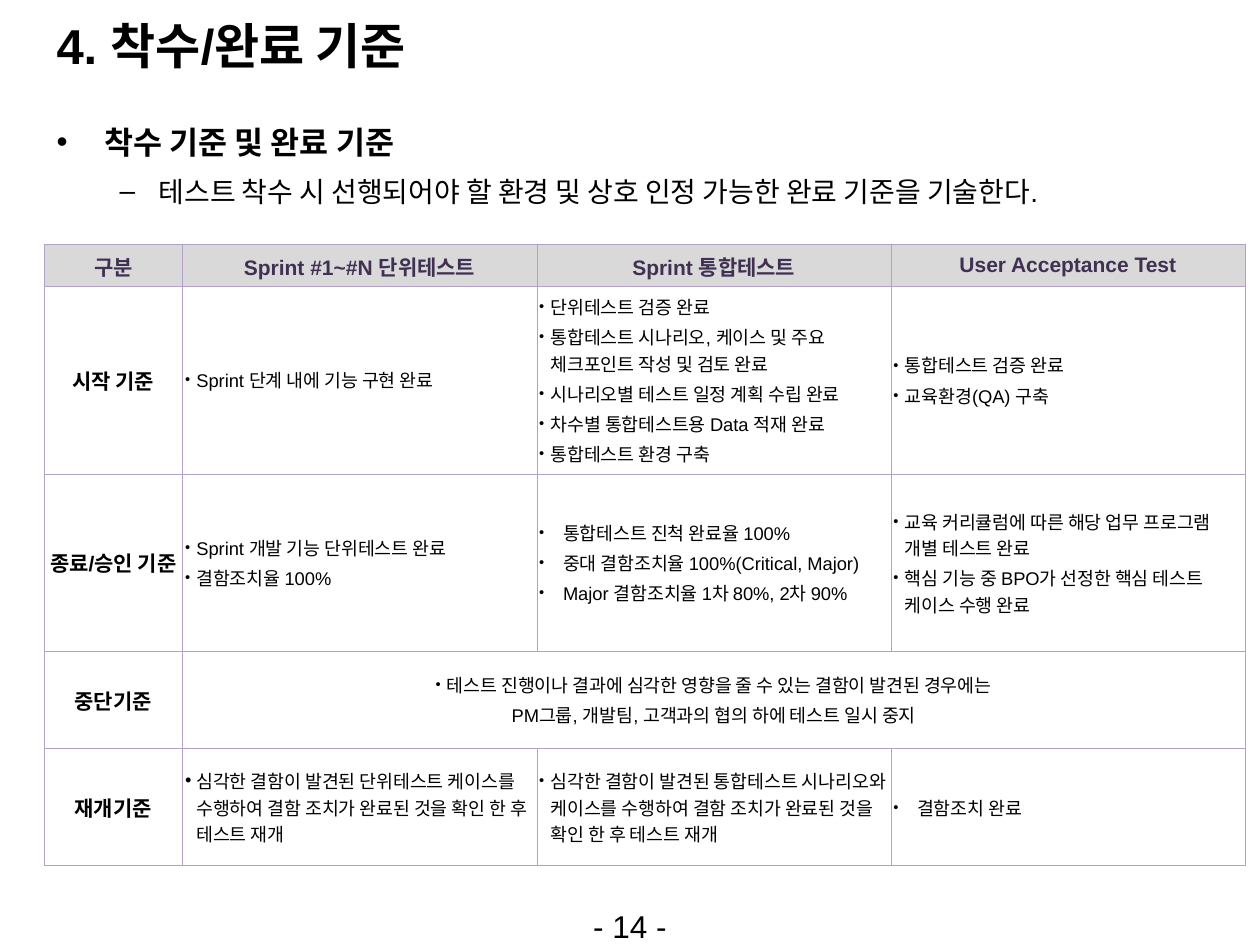
from lxml.etree import SubElement as Sub
from pptx import Presentation
from pptx.dml.color import RGBColor
from pptx.enum.text import MSO_ANCHOR as Anchor, PP_ALIGN as Align
from pptx.oxml.ns import qn
from pptx.util import Cm, Pt

BLACK = RGBColor(0, 0, 0)
PLUM = RGBColor(0x40, 0x31, 0x52)
LILAC = RGBColor(0xB3, 0xA2, 0xC7)
GREY = RGBColor(0xD9, 0xD9, 0xD9)
FONT = "Arial"
NEAR, WIDE = 0.23, 0.48  # hanging indents in cm

COLS = (2.79, 7.14, 7.14, 7.14)
ROWS = (0.84, 3.78, 3.58, 1.96, 2.36)
HEADS = ("구분", "Sprint #1~#N 단위테스트", "Sprint 통합테스트",
         "User Acceptance Test")
# Each row: its label, then for each cell the hanging indent and the items
BODY = (
    ("시작 기준",
     (NEAR, ["Sprint 단계 내에 기능 구현 완료"]),
     (NEAR, ["단위테스트 검증 완료",
             "통합테스트 시나리오, 케이스 및 주요 체크포인트 작성 및 검토 완료",
             "시나리오별 테스트 일정 계획 수립 완료",
             "차수별 통합테스트용 Data 적재 완료",
             "통합테스트 환경 구축"]),
     (NEAR, ["통합테스트 검증 완료", "교육환경(QA) 구축"])),
    ("종료/승인 기준",
     (NEAR, ["Sprint 개발 기능 단위테스트 완료", "결함조치율 100%"]),
     (WIDE, ["통합테스트 진척 완료율 100%",
             "중대 결함조치율 100%(Critical, Major)",
             "Major 결함조치율 1차 80%, 2차 90%"]),
     (NEAR, ["교육 커리큘럼에 따른 해당 업무 프로그램 개별 테스트 완료",
             "핵심 기능 중 BPO가 선정한 핵심 테스트 케이스 수행 완료"])),
    ("중단기준",),
    ("재개기준",
     (NEAR, ["심각한 결함이 발견된 단위테스트 케이스를 수행하여 결함 조치가 "
             "완료된 것을 확인 한 후 테스트 재개"]),
     (NEAR, ["심각한 결함이 발견된 통합테스트 시나리오와 케이스를 수행하여 "
             "결함 조치가 완료된 것을 확인 한 후 테스트 재개"]),
     (WIDE, ["결함조치 완료"])),
)
HALT = ("테스트 진행이나 결과에 심각한 영향을 줄 수 있는 결함이 발견된 경우에는",
        "PM그룹, 개발팀, 고객과의 협의 하에 테스트 일시 중지")


def write(frame, text, size=10.5, bold=False, color=BLACK, align=Align.LEFT,
          mark=None, left=0, hang=0, scale=None, lead=None):
    """Add one paragraph; the first one takes the empty paragraph."""
    first = not frame.text
    para = frame.paragraphs[0] if first else frame.add_paragraph()
    if mark:
        props = para._p.get_or_add_pPr()
        props.set("marL", str(Cm(left)))
        props.set("indent", str(-Cm(hang)))
        if scale:
            Sub(props, qn("a:buSzPct"), val=str(scale * 1000))
        Sub(props, qn("a:buFont"), typeface=FONT)
        Sub(props, qn("a:buChar"), char=mark)
    para.alignment = align
    para.space_before = Pt(0 if first else 2)
    if lead:
        para.line_spacing = lead
    run = para.add_run()
    run.text = text
    font = run.font
    font.name, font.size, font.bold = FONT, Pt(size), bold
    font.color.rgb = color


def add_box(slide, x, y, w, h, anchor=Anchor.TOP):
    frame = slide.shapes.add_textbox(Cm(x), Cm(y), Cm(w), Cm(h)).text_frame
    frame.word_wrap = True
    frame.vertical_anchor = anchor
    return frame


def style(cell, fill=None):
    """Set the insets, borders and fill of a cell."""
    cell.vertical_anchor = Anchor.MIDDLE
    cell.margin_left = cell.margin_right = Cm(0.05)
    cell.margin_top = cell.margin_bottom = Cm(0.13)
    props = cell._tc.get_or_add_tcPr()
    for side in "LRTB":
        line = Sub(props, qn("a:ln" + side), w=str(Pt(0.25)))
        Sub(Sub(line, qn("a:solidFill")), qn("a:srgbClr"), val=str(LILAC))
    if fill is None:
        cell.fill.background()
    else:
        cell.fill.solid()
        cell.fill.fore_color.rgb = fill


def add_grid(slide):
    table = slide.shapes.add_table(
        len(ROWS), len(COLS), Cm(0.89), Cm(4.93),
        Cm(sum(COLS)), Cm(sum(ROWS))).table
    table.horz_banding = False
    for col, width in zip(table.columns, COLS):
        col.width = Cm(width)
    for row, height in zip(table.rows, ROWS):
        row.height = Cm(height)
    for r in range(len(ROWS)):
        for c in range(len(COLS)):
            style(table.cell(r, c), GREY if r == 0 else None)

    # Header row
    for c, head in enumerate(HEADS):
        write(table.cell(0, c).text_frame, head, size=12, bold=True,
              color=PLUM, align=Align.CENTER)

    # Labels and bulleted criteria
    for r, (label, *cells) in enumerate(BODY, 1):
        write(table.cell(r, 0).text_frame, label, size=12, bold=True,
              align=Align.CENTER)
        for c, (hang, items) in enumerate(cells, 1):
            scale = None if (r, c) == (4, 1) else 80
            for item in items:
                write(table.cell(r, c).text_frame, item, mark="•",
                      left=hang, hang=hang, scale=scale)

    # Halt criteria span the three test columns
    wide = table.cell(3, 1)
    wide.merge(table.cell(3, 3))
    write(wide.text_frame, HALT[0], align=Align.CENTER, mark="•",
          left=NEAR, hang=NEAR, scale=80)
    write(wide.text_frame, HALT[1], align=Align.CENTER)


def main():
    deck = Presentation()
    deck.slide_width, deck.slide_height = Cm(25.4), Cm(19.05)
    slide = deck.slides.add_slide(deck.slide_layouts[6])

    # Title
    title = add_box(slide, 0.89, 0.13, 23.6, 1.57, Anchor.MIDDLE)
    write(title, "4. 착수/완료 기준", size=28, bold=True)

    # Outline
    body = add_box(slide, 0.89, 2.13, 23.6, 14.88)
    write(body, "착수 기준 및 완료 기준", size=18, bold=True, mark="•",
          left=0.97, hang=0.97, lead=1.3)
    write(body, "테스트 착수 시 선행되어야 할 환경 및 상호 인정 가능한 완료 기준을 "
          "기술한다.", size=16, mark="–", left=2.06, hang=0.79, lead=1.3)

    # Criteria table
    add_grid(slide)

    # Page number
    page = add_box(slide, 11, 18.16, 3.4, 0.89)
    write(page, "- 14 -", size=18, align=Align.CENTER)

    deck.save("out.pptx")


if __name__ == "__main__":
    main()
